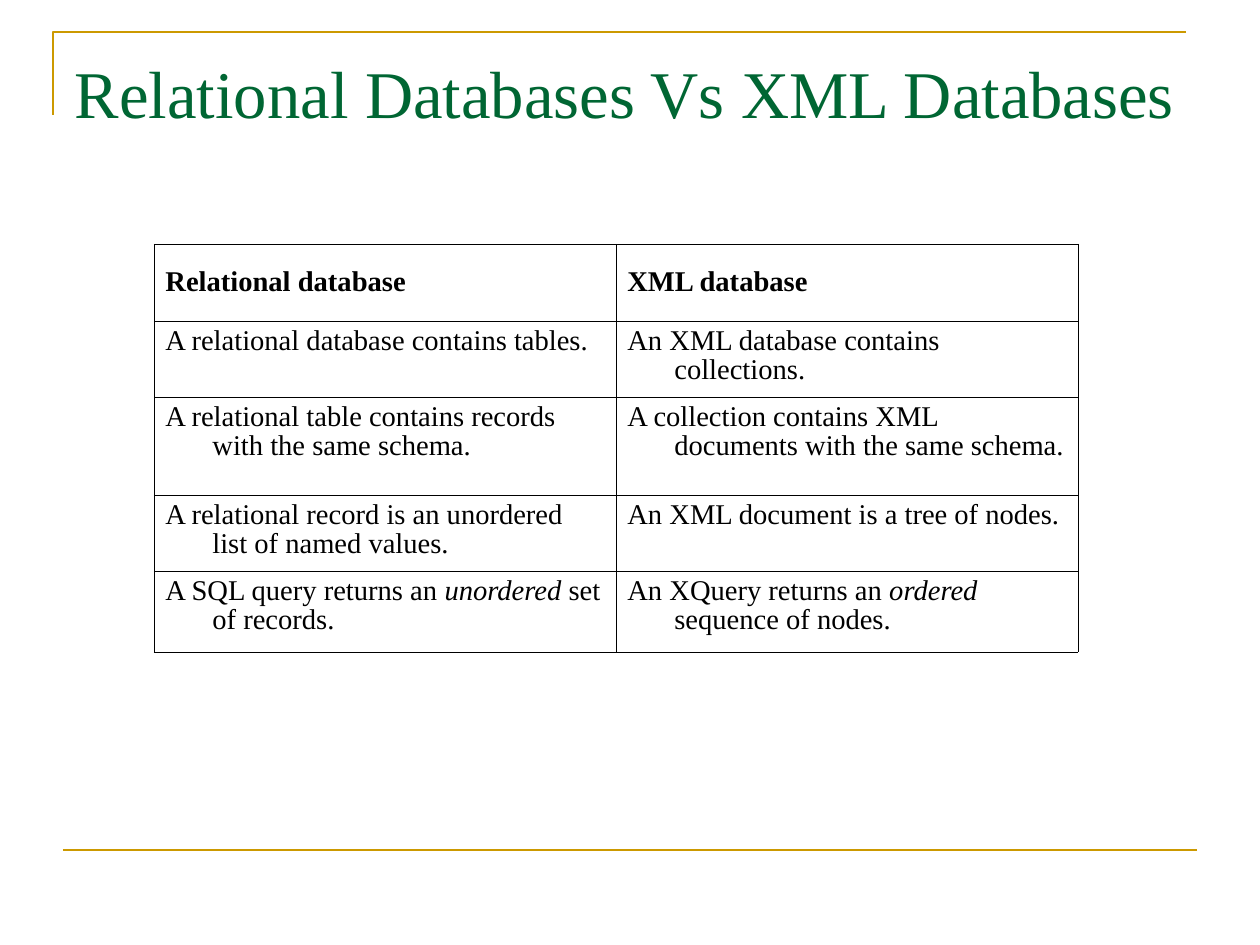
import pptx
import pptx.dml.color
import pptx.enum.shapes
import pptx.enum.text
import pptx.oxml
import pptx.oxml.ns
import pptx.util

PX = 8000
COLORS = {"gold": "CC9900", "green": "006633", "black": "000000"}
FONT = "Times New Roman"
TITLE = {"size": pptx.util.Pt(42), "name": FONT}
BODY = {"size": pptx.util.Pt(18), "name": FONT}
ROWS = [
    (77, "Relational database", "XML database"),
    (76, "A relational database contains tables.",
     "An XML database contains collections."),
    (98, "A relational table contains records with the same schema.",
     "A collection contains XML documents with the same schema."),
    (76, "A relational record is an unordered list of named values.",
     "An XML document is a tree of nodes."),
    (81, "A SQL query returns an *unordered* set of records.",
     "An XQuery returns an *ordered* sequence of nodes."),
]


def px(*values):
    return [v * PX for v in values]


def rgb(name):
    return pptx.dml.color.RGBColor.from_string(COLORS[name])


def apply(obj, values):
    for key, value in values.items():
        setattr(obj, key, value)


def add_runs(p, text, color, values):
    for i, part in enumerate(text.split("*")):
        r = p.add_run()
        r.text = part
        apply(r.font, {**values, "italic": i % 2 == 1})
        r.font.color.rgb = rgb(color)


def style_line(s):
    s.line.color.rgb = rgb("gold")
    s.line.width = pptx.util.Pt(1.5)


def add_corner(shapes, points):
    builder = shapes.build_freeform(*px(*points[0]))
    builder.add_line_segments([px(*pt) for pt in points[1:]], close=False)
    s = builder.convert_to_shape()
    s.shadow.inherit = False
    s.fill.background()
    style_line(s)


def add_rule(shapes, x1, x2, y):
    s = shapes.add_connector(
        pptx.enum.shapes.MSO_CONNECTOR.STRAIGHT, *px(x1, y, x2, y))
    style_line(s)
    s._element.spPr.append(pptx.oxml.parse_xml(
        f"<a:effectLst {pptx.oxml.ns.nsdecls('a')}/>"))


def add_title(shapes, text, *box):
    tf = shapes.add_textbox(*px(*box)).text_frame
    left, top, bottom = px(12, 13, 7)
    apply(tf, {"word_wrap": True, "margin_left": left, "margin_right": left,
               "margin_top": top, "margin_bottom": bottom})
    add_runs(tf.paragraphs[0], text, "green", TITLE)


def add_borders(cell):
    tcPr = cell._tc.get_or_add_tcPr()
    for i, side in enumerate("LRTB"):
        tcPr.insert(i, pptx.oxml.parse_xml(
            f'<a:ln{side} {pptx.oxml.ns.nsdecls("a")} w="4318"><a:solidFill>'
            f'<a:srgbClr val="{COLORS["black"]}"/></a:solidFill></a:ln{side}>'))


def fill_cell(cell, text, header):
    cell.fill.background()
    add_borders(cell)
    anchor = pptx.enum.text.MSO_ANCHOR
    cell.vertical_anchor = anchor.MIDDLE if header else anchor.TOP
    p = cell.text_frame.paragraphs[0]
    p.line_spacing = 0.93
    pPr = p._p.get_or_add_pPr()
    for key, indent in {"marL": 47, "indent": -47}.items():
        pPr.set(key, str(indent * PX))
    add_runs(p, text, "black", {**BODY, "bold": header})


def add_comparison(shapes, left, top, col_width):
    height = sum(row[0] for row in ROWS)
    table = shapes.add_table(
        len(ROWS), 2, *px(left, top, 2 * col_width, height)).table
    apply(table, {"first_row": False, "horz_banding": False})
    for col in table.columns:
        col.width = col_width * PX
    for i, (row_height, *texts) in enumerate(ROWS):
        table.rows[i].height = row_height * PX
        for j, text in enumerate(texts):
            fill_cell(table.cell(i, j), text, i == 0)


def main():
    prs = pptx.Presentation()
    prs.slide_width, prs.slide_height = px(1260, 945)
    shapes = prs.slides.add_slide(prs.slide_layouts[6]).shapes
    add_corner(shapes, [(53, 115), (53, 32), (1186, 32)])
    add_rule(shapes, 63, 1197, 850)
    add_title(shapes, "Relational Databases Vs XML Databases",
              63, 39, 1134, 157)
    add_comparison(shapes, 154, 244, 462)
    prs.save("out.pptx")


if __name__ == "__main__":
    main()
